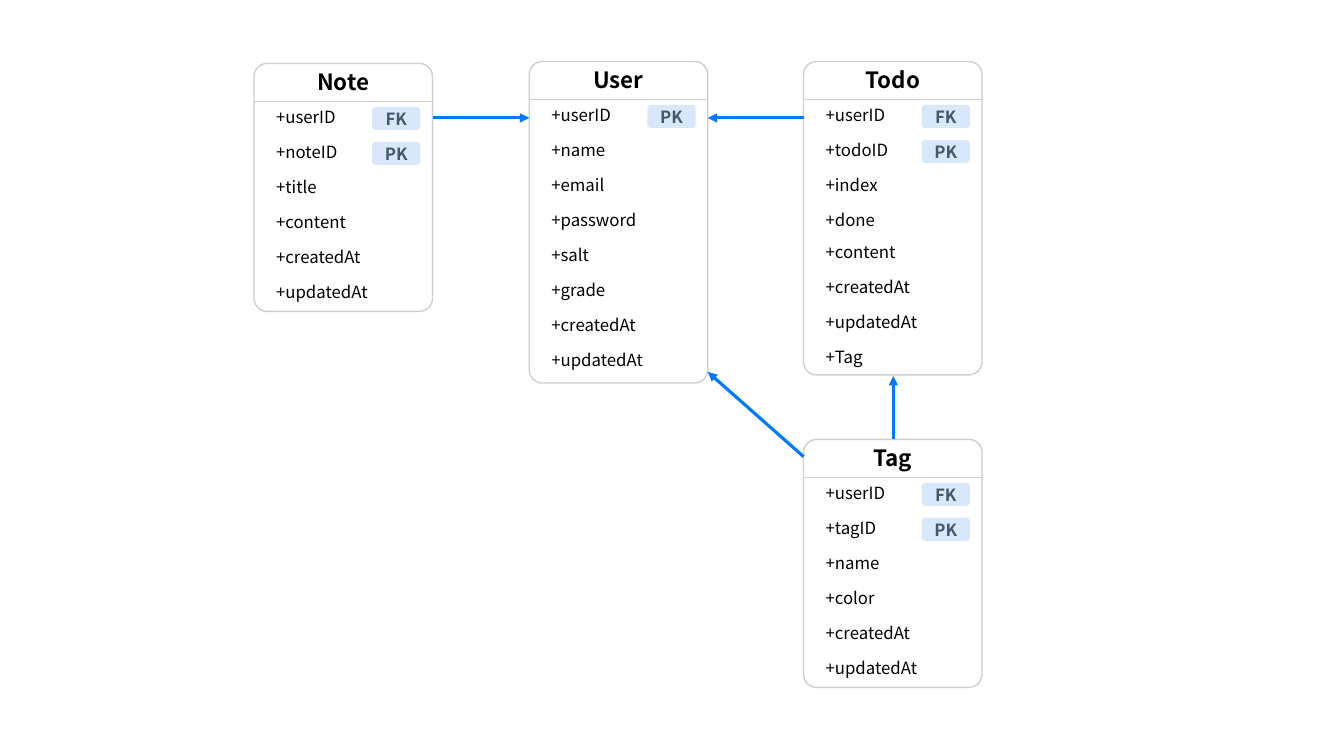
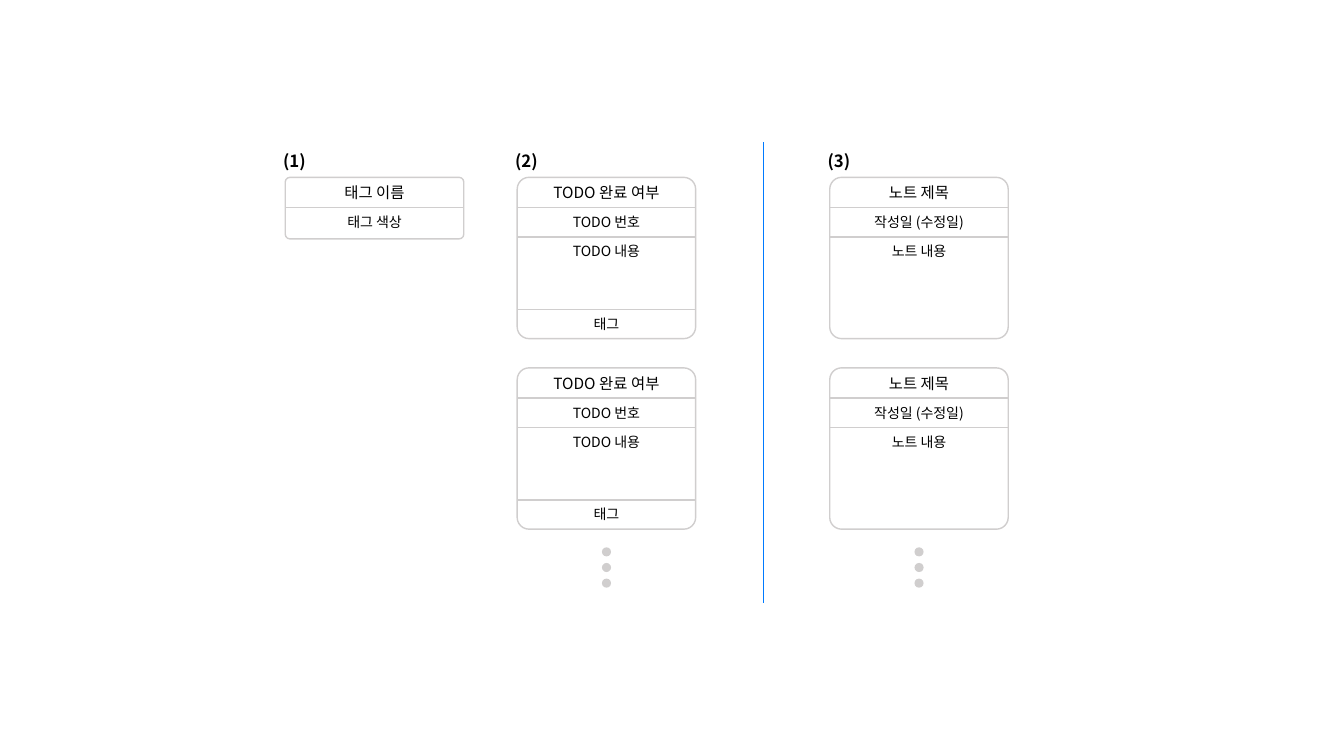
from pptx import Presentation
from pptx.dml.color import RGBColor
from pptx.enum.shapes import MSO_CONNECTOR, MSO_SHAPE
from pptx.enum.text import MSO_ANCHOR, MSO_AUTO_SIZE, PP_ALIGN
from pptx.oxml.ns import qn
from pptx.util import Inches, Pt
from lxml import etree

ROUNDED = MSO_SHAPE.ROUNDED_RECTANGLE
OVAL = MSO_SHAPE.OVAL
STRAIGHT = MSO_CONNECTOR.STRAIGHT
FIT = MSO_AUTO_SIZE.SHAPE_TO_FIT_TEXT
MIDDLE = MSO_ANCHOR.MIDDLE
LEFT = PP_ALIGN.LEFT
CENTER = PP_ALIGN.CENTER

FONT = "Noto Sans CJK KR"
BLACK = "000000"
WHITE = "FFFFFF"
GRAY = "D0CECE"
BLUE = "007AFF"
BADGE_FILL = "D8E7F9"
BADGE_TEXT = "45566F"
CARD_WIDTH = 1.77
INSET = 0.12
TEXT_WIDTH = CARD_WIDTH - 2 * INSET
color = RGBColor.from_string


def write_text(shape, text, size, align=LEFT, bold=False, text_color=BLACK):
    shape.text_frame.word_wrap = True
    paragraph = shape.text_frame.paragraphs[0]
    paragraph.text = text
    paragraph.alignment = align
    font = paragraph.font
    font.name = FONT
    font.size = Pt(size)
    font.bold = bold
    font.color.rgb = color(text_color)
    etree.SubElement(font._rPr, qn("a:ea"), typeface=FONT)


def add_line(slide, start, end, line_color, width, arrow=False):
    x1, y1, x2, y2 = [Inches(value) for value in (*start, *end)]
    line = slide.shapes.add_connector(STRAIGHT, x1, y1, x2, y2)
    line.line.color.rgb = color(line_color)
    line.line.width = Pt(width)
    if arrow:
        etree.SubElement(line.line._get_or_add_ln(), qn("a:tailEnd"), type="triangle")
    etree.SubElement(line._element.spPr, qn("a:effectLst"))


presentation = Presentation()
presentation.slide_width = Inches(13.33)
presentation.slide_height = Inches(7.5)
blank = presentation.slide_layouts[6]
schema_slide = presentation.slides.add_slide(blank)
screen_slide = presentation.slides.add_slide(blank)

# name, left, top, height, shift of the fifth and later fields, fields, keys
entities = [
    ("User", 5.25, 0.61, 3.19, 0,
     "userID name email password salt grade createdAt updatedAt", ["PK"]),
    ("Todo", 7.97, 0.61, 3.11, -0.03,
     "userID todoID index done content createdAt updatedAt Tag", ["FK", "PK"]),
    ("Tag", 7.97, 4.36, 2.46, 0,
     "userID tagID name color createdAt updatedAt", ["FK", "PK"]),
    ("Note", 2.52, 0.63, 2.46, 0,
     "userID noteID title content createdAt updatedAt", ["FK", "PK"]),
]
HEADER_HEIGHT = 0.38
FIELD_PITCH = 0.347

cards = []
for name, left, top, height, shift, fields, keys in entities:
    rows = [(name, 0, 0.37, 16, CENTER, True)]
    for index, field in enumerate(fields.split()):
        offset = HEADER_HEIGHT + index * FIELD_PITCH + (shift if index > 3 else 0)
        rows.append(("+" + field, offset, 0.3, 12, LEFT, False))
    cards.append((schema_slide, left, top, height, [HEADER_HEIGHT], rows, keys))

todo_rows = ["TODO 완료 여부", "TODO 번호", "TODO 내용", "태그"]
note_rows = ["노트 제목", "작성일 (수정일)", "노트 내용"]
row_offsets = [0, 0.3, 0.59, 1.31]
screens = [
    (2.83, 1.76, 0.61, ["태그 이름", "태그 색상"]),
    (5.13, 1.76, 1.6, todo_rows),
    (5.13, 3.65, 1.6, todo_rows),
    (8.23, 1.76, 1.6, note_rows),
    (8.23, 3.65, 1.6, note_rows),
]
for left, top, height, texts in screens:
    rows = []
    for index, (text, offset) in enumerate(zip(texts, row_offsets)):
        size, row_height = (10, 0.27) if index else (11, 0.29)
        rows.append((text, offset + 0.01, row_height, size, CENTER, False))
    cards.append((screen_slide, left, top, height, row_offsets[1:len(texts)], rows, []))

for slide, left, top, height, dividers, rows, keys in cards:
    card = slide.shapes.add_shape(
        ROUNDED, Inches(left), Inches(top), Inches(CARD_WIDTH), Inches(height))
    card.adjustments[0] = 0.073
    card.shadow.inherit = False
    card.fill.solid()
    card.fill.fore_color.rgb = color(WHITE)
    card.line.color.rgb = color(GRAY)
    card.line.width = Pt(1)
    for offset in dividers:
        add_line(slide, (left, top + offset), (left + CARD_WIDTH, top + offset), GRAY, 1)
    for text, offset, row_height, size, align, bold in rows:
        box = slide.shapes.add_textbox(
            Inches(left + INSET), Inches(top + offset), Inches(TEXT_WIDTH), Inches(row_height))
        box.text_frame.auto_size = FIT
        write_text(box, text, size, align, bold)
    for index, key in enumerate(keys):
        badge_top = top + HEADER_HEIGHT + 0.05 + index * FIELD_PITCH
        badge = slide.shapes.add_shape(
            ROUNDED, Inches(left + 1.17), Inches(badge_top), Inches(0.48), Inches(0.23))
        badge.shadow.inherit = False
        badge.fill.solid()
        badge.fill.fore_color.rgb = color(BADGE_FILL)
        badge.line.fill.background()
        badge.text_frame.vertical_anchor = MIDDLE
        write_text(badge, key, 12, CENTER, True, BADGE_TEXT)

relations = [
    ((4.29, 1.17), (5.25, 1.17)),
    ((7.97, 4.53), (7.02, 3.69)),
    ((7.97, 1.17), (7.02, 1.17)),
    ((8.86, 4.36), (8.86, 3.73)),
]
for start, end in relations:
    add_line(schema_slide, start, end, BLUE, 2.25, arrow=True)

for number, left in enumerate([2.83, 5.13, 8.23], start=1):
    label = screen_slide.shapes.add_textbox(
        Inches(left - INSET), Inches(1.45), Inches(0.49), Inches(0.3))
    label.text_frame.auto_size = FIT
    write_text(label, f"({number})", 12, bold=True)

for left in [5.97, 9.07]:
    for index in range(3):
        dot = screen_slide.shapes.add_shape(
            OVAL, Inches(left), Inches(5.43 + index * 0.155), Inches(0.09), Inches(0.09))
        dot.shadow.inherit = False
        dot.fill.solid()
        dot.fill.fore_color.rgb = color(GRAY)
        dot.line.fill.background()

add_line(screen_slide, (7.57, 1.41), (7.57, 5.98), BLUE, 1)

presentation.save("out.pptx")
